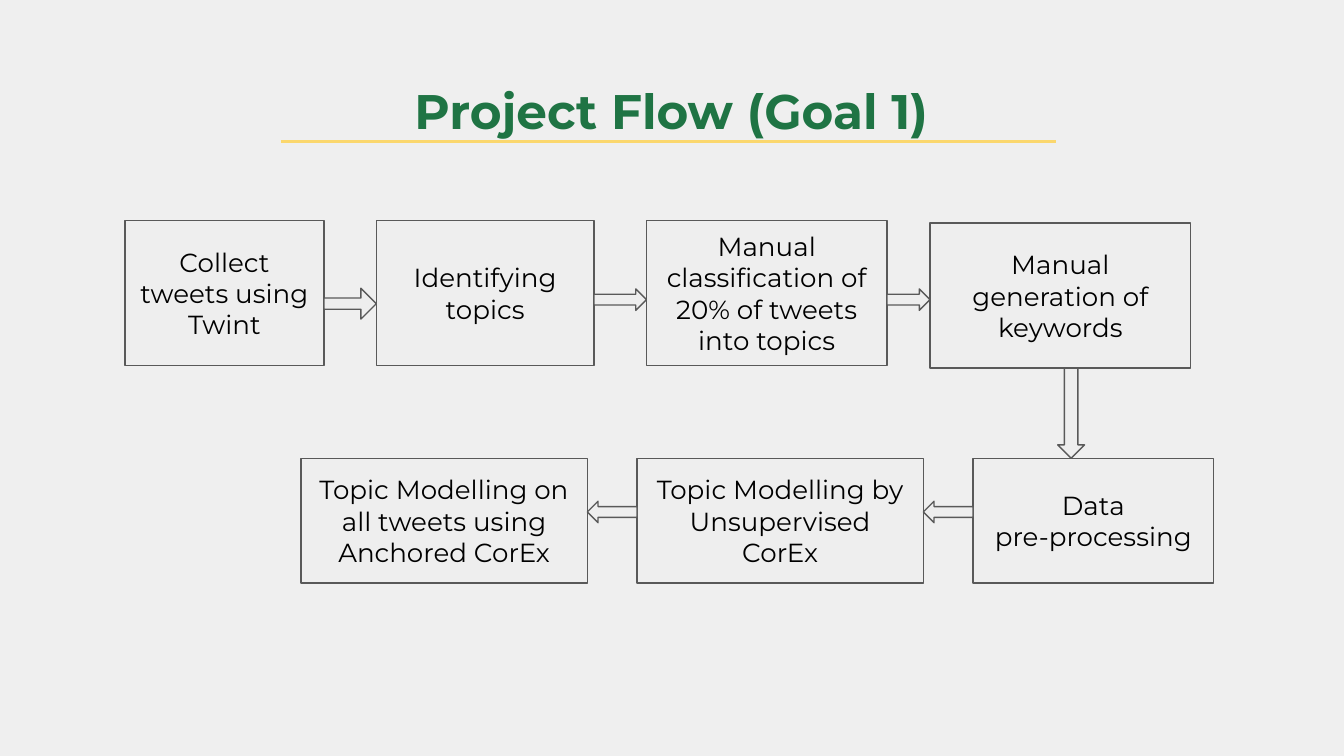
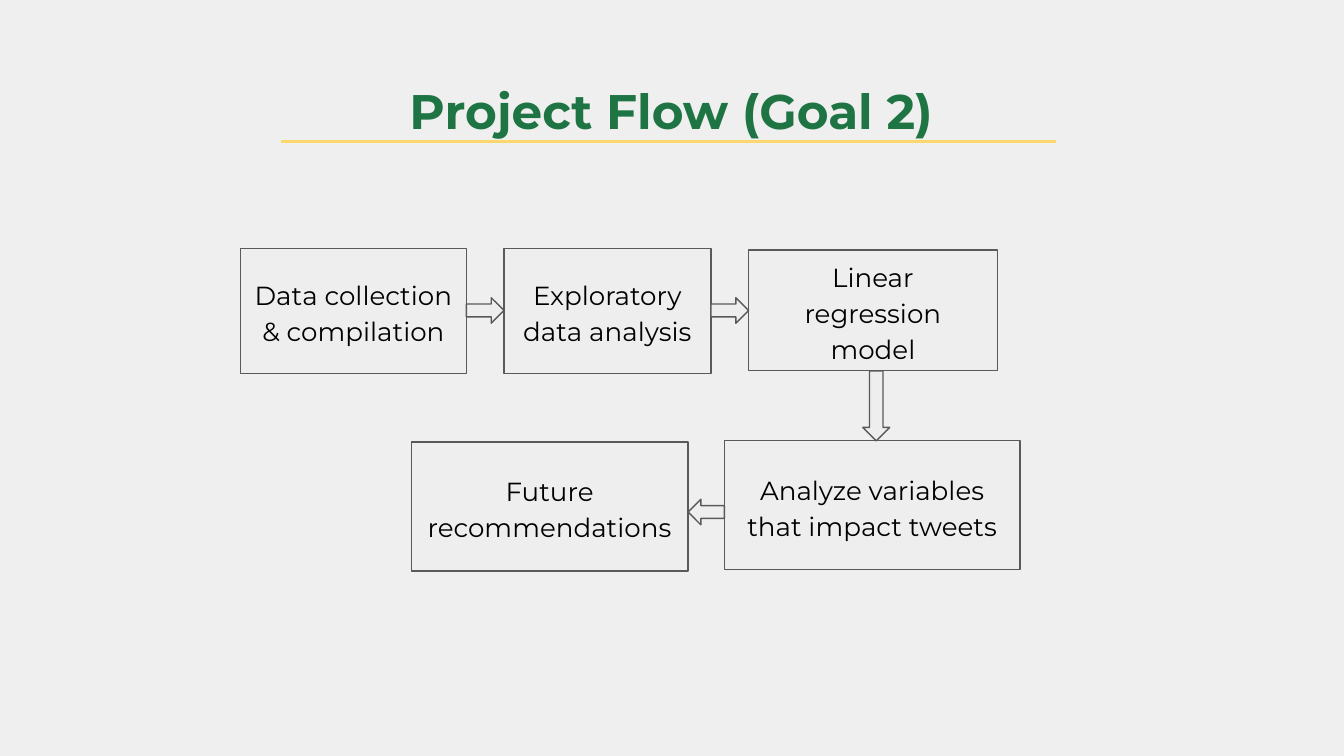
from pptx import Presentation
from pptx import util as u
from pptx.dml.color import RGBColor
from pptx.enum import shapes, text
from pptx.oxml.ns import qn

SHAPE = shapes.MSO_SHAPE
BACKGROUND, BOX_FILL, OUTLINE = "EFEFEF", "EEEEEE", "595959"
GREEN, YELLOW, BLACK = "1F7444", "FBD76D", "000000"


def rgb(value):
    return RGBColor.from_string(value)


class Deck:
    """Holds the shared style and the slide being built."""

    body = {"name": "Montserrat", "size": u.Pt(14), "bold": False}
    heading = {"name": "Montserrat", "size": u.Pt(26), "bold": True}

    def __init__(self):
        self.prs = Presentation()
        self.prs.slide_width = u.Inches(10)
        self.prs.slide_height = u.Inches(5.625)
        self.s = None

    def slide(self, title):
        self.s = self.prs.slides.add_slide(self.prs.slide_layouts[6])
        fill = self.s.background.fill
        fill.solid()
        fill.fore_color.rgb = rgb(BACKGROUND)
        sp = self.s.shapes.add_textbox(*map(u.Inches, (0.89, 0.5, 8.21, 0.63)))
        self.label(sp, title, self.heading, GREEN, anchor=text.MSO_ANCHOR.TOP)
        self.rule(2.09, 7.86, 1.05)

    def rule(self, left, right, y):
        line = self.s.shapes.add_connector(
            shapes.MSO_CONNECTOR.STRAIGHT, *map(u.Inches, (left, y, right, y)))
        line.line.color.rgb = rgb(YELLOW)
        line.line.width = u.Pt(1.5)
        sp_pr = line._element.spPr
        sp_pr.append(sp_pr.makeelement(qn("a:effectLst"), {}))

    def label(self, sp, content, font, color, spacing=1.0,
              anchor=text.MSO_ANCHOR.MIDDLE):
        tf = sp.text_frame
        frame = {"word_wrap": True, "vertical_anchor": anchor}
        for side in ("left", "right", "top", "bottom"):
            frame["margin_" + side] = u.Inches(0.1)
        for key, value in frame.items():
            setattr(tf, key, value)
        tf.text = content
        for p in tf.paragraphs:
            p.alignment = text.PP_ALIGN.CENTER
            p.line_spacing = spacing
            for r in p.runs:
                for key, value in font.items():
                    setattr(r.font, key, value)
                r.font.color.rgb = rgb(color)

    def outlined(self, kind, left, top, width, height):
        sp = self.s.shapes.add_shape(
            kind, *map(u.Inches, (left, top, width, height)))
        sp.shadow.inherit = False
        sp.fill.solid()
        sp.fill.fore_color.rgb = rgb(BOX_FILL)
        sp.line.color.rgb = rgb(OUTLINE)
        sp.line.width = u.Pt(0.75)
        return sp

    def box(self, left, top, width, height, content, spacing):
        sp = self.outlined(SHAPE.RECTANGLE, left, top, width, height)
        self.label(sp, content, self.body, BLACK, spacing)

    def arrow(self, start, end, centre, thickness, shaft=0.5):
        """Fill the gap between two boxes; centre lies across the arrow."""
        left, top, width, height = start[:4]
        next_left, next_top, next_width = end[:3]
        edge = centre - thickness / 2
        if next_top >= top + height:
            bottom = top + height
            sp = self.outlined(SHAPE.DOWN_ARROW, edge, bottom,
                               thickness, next_top - bottom)
        elif next_left > left:
            right = left + width
            sp = self.outlined(SHAPE.RIGHT_ARROW, right, edge,
                               next_left - right, thickness)
        else:
            right = next_left + next_width
            sp = self.outlined(SHAPE.LEFT_ARROW, right, edge,
                               left - right, thickness)
        sp.adjustments[0] = shaft

    def flow(self, title, steps, arrows, spacing=1.0):
        """Draw the steps in order, with one arrow between each pair."""
        self.slide(title)
        for step in steps:
            self.box(*step, spacing)
        for start, end, arrow in zip(steps, steps[1:], arrows):
            self.arrow(start, end, *arrow)


GOAL_1 = [
    (0.93, 1.64, 1.48, 1.08, "Collect tweets using Twint"),
    (2.8, 1.64, 1.62, 1.08, "Identifying topics"),
    (4.81, 1.64, 1.79, 1.08, "Manual classification of 20% of tweets into topics"),
    (6.92, 1.66, 1.94, 1.08, "Manual generation of keywords"),
    (7.24, 3.41, 1.79, 0.93, "Data\npre-processing"),
    (4.74, 3.41, 2.13, 0.93, "Topic Modelling by Unsupervised\vCorEx"),
    (2.24, 3.41, 2.13, 0.93, "Topic Modelling on all tweets using Anchored CorEx"),
]
GOAL_1_ARROWS = [(2.26, 0.23, 0.36), (2.23, 0.16), (2.23, 0.16),
                 (7.97, 0.2), (3.81, 0.16), (3.81, 0.16)]

GOAL_2 = [
    (1.79, 1.85, 1.68, 0.93, "Data collection & compilation"),
    (3.75, 1.85, 1.54, 0.93, "Exploratory data analysis"),
    (5.57, 1.86, 1.85, 0.9, "Linear\vregression model"),
    (5.39, 3.28, 2.2, 0.96, "Analyze variables that impact tweets"),
    (3.06, 3.29, 2.06, 0.96, "Future recommendations"),
]
GOAL_2_ARROWS = [(2.31, 0.19), (2.31, 0.19), (6.52, 0.2), (3.81, 0.19)]


def main():
    deck = Deck()
    deck.flow("Project Flow (Goal 1)", GOAL_1, GOAL_1_ARROWS)
    deck.flow("Project Flow (Goal 2)", GOAL_2, GOAL_2_ARROWS, spacing=1.15)
    deck.prs.save("out.pptx")


if __name__ == "__main__":
    main()
